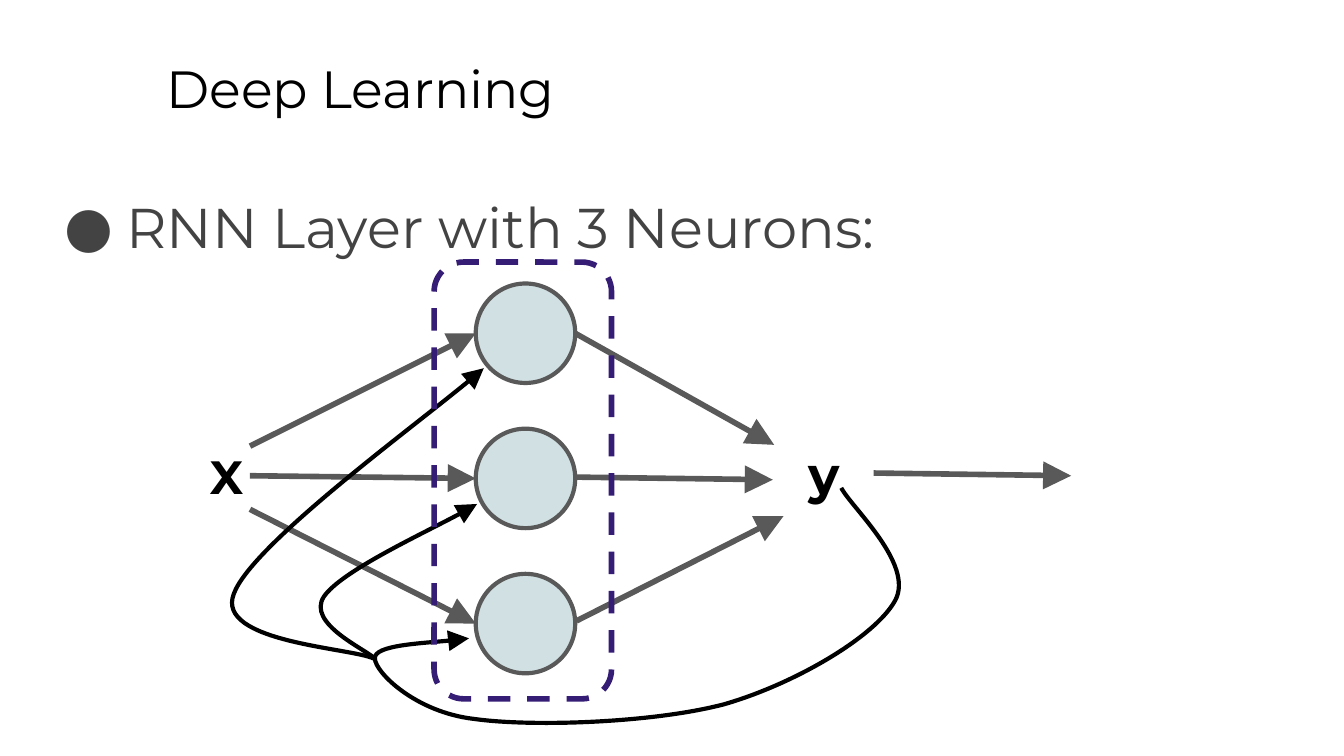
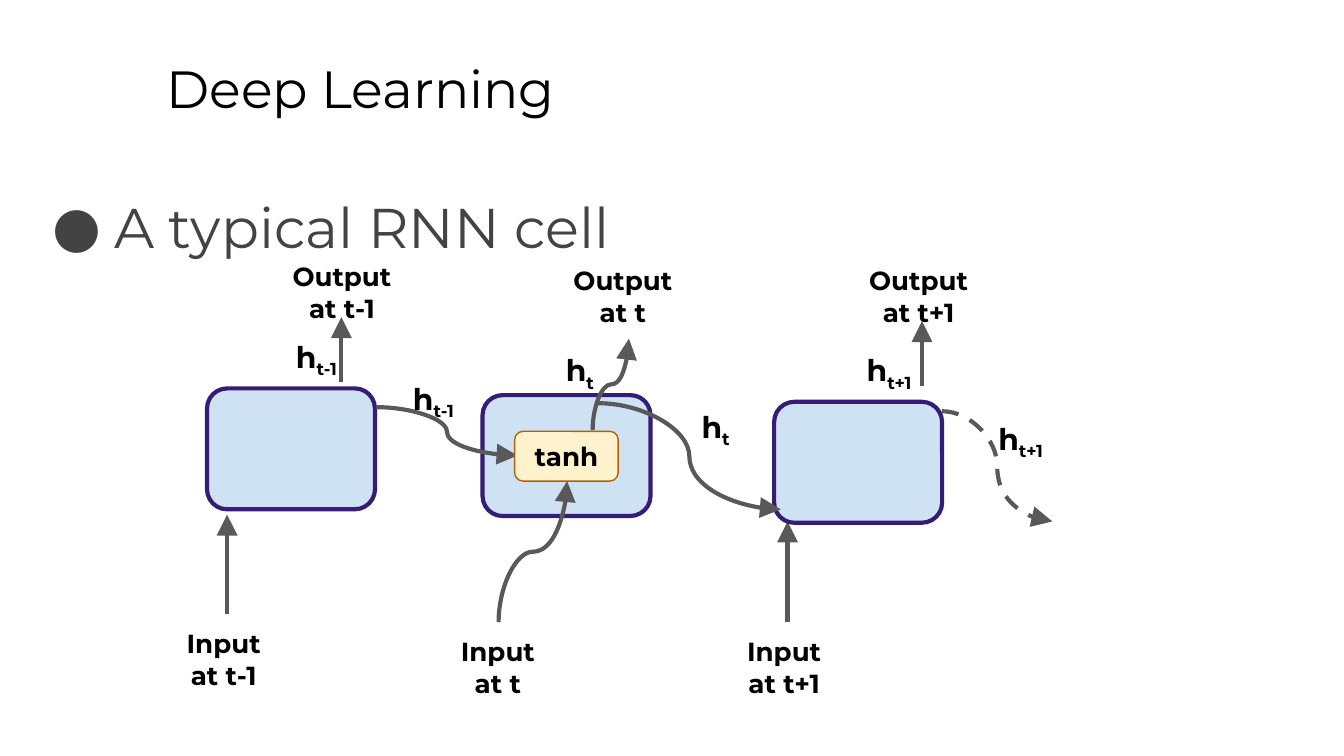
from dataclasses import dataclass
from typing import Optional

from lxml.etree import SubElement
from pptx import Presentation
from pptx.dml.color import RGBColor
from pptx.enum.dml import MSO_LINE
from pptx.enum.shapes import MSO_CONNECTOR as Link, MSO_SHAPE as Preset
from pptx.enum.text import MSO_ANCHOR as Anchor, PP_ALIGN as Align
from pptx.oxml.ns import qn
from pptx.util import Emu, Pt

EMU_PER_PX = 9144
FONT = "Montserrat"
BLACK, BODY_GREY, ARROW_GREY = "000000", "434343", "595959"
PURPLE, NEURON_BLUE, CELL_BLUE = "351C75", "D0E0E3", "CFE2F3"
TANH_YELLOW, TANH_BROWN = "FFF2CC", "B45F06"

Point = tuple[int, int]


@dataclass(frozen=True)
class Stroke:
    color: str
    width: float
    dashed: bool = False


@dataclass(frozen=True)
class Words:
    text: str
    size: int
    color: str = BLACK
    bold: bool = True
    subscript: bool = False


@dataclass(frozen=True)
class Box:
    x: int
    y: int
    w: int
    h: int


@dataclass(frozen=True)
class Arrow:
    start: Point
    end: Point
    stroke: Stroke
    curved: bool = False
    upright: bool = False


THICK = Stroke(ARROW_GREY, 3)
MEDIUM = Stroke(ARROW_GREY, 2.25)
FEEDBACK = Stroke(BLACK, 2.25)


def px(length: float) -> Emu:
    return Emu(round(length * EMU_PER_PX))


def rgb(color: str) -> RGBColor:
    return RGBColor.from_string(color)


def draw_stroke(line, stroke: Stroke) -> None:
    line.color.rgb = rgb(stroke.color)
    line.width = Pt(stroke.width)
    if stroke.dashed:
        line.dash_style = MSO_LINE.DASH


def add_arrowhead(properties, size: str) -> None:
    SubElement(properties.find(qn("a:ln")), qn("a:tailEnd"),
               type="triangle", w=size, len=size)


def write(paragraph, runs: list[Words]) -> None:
    for words in runs:
        run = paragraph.add_run()
        run.text = words.text
        font = run.font
        font.name, font.size, font.bold = FONT, Pt(words.size), words.bold
        font.color.rgb = rgb(words.color)
        if words.subscript:
            font._element.set("baseline", "-25000")


def fill_frame(frame, paragraphs: list[list[Words]], align: Align) -> None:
    frame.word_wrap = True
    frame.margin_left = frame.margin_right = px(10)
    frame.margin_top = frame.margin_bottom = px(10)
    for index, runs in enumerate(paragraphs):
        paragraph = frame.add_paragraph() if index else frame.paragraphs[0]
        paragraph.alignment = align
        write(paragraph, runs)


def add_text(slide, box: Box, paragraphs: list[list[Words]], align: Align = Align.CENTER):
    frame = slide.shapes.add_textbox(px(box.x), px(box.y), px(box.w), px(box.h)).text_frame
    fill_frame(frame, paragraphs, align)
    return frame


def add_label(slide, place: Point, *paragraphs: list[Words], height: int = 37) -> None:
    add_text(slide, Box(*place, 97, height), list(paragraphs))


def add_state(slide, place: Point, step: str) -> None:
    add_label(slide, place, [Words("h", 16), Words(step, 16, subscript=True)])


def add_outline(slide, preset: Preset, box: Box, stroke: Stroke, fill: Optional[str] = None):
    shape = slide.shapes.add_shape(preset, px(box.x), px(box.y), px(box.w), px(box.h))
    shape.shadow.inherit = False
    if fill:
        shape.fill.solid()
        shape.fill.fore_color.rgb = rgb(fill)
    else:
        shape.fill.background()
    draw_stroke(shape.line, stroke)
    return shape


def add_arrow(slide, arrow: Arrow) -> None:
    (x1, y1), (x2, y2) = arrow.start, arrow.end
    if arrow.upright:
        mid_x, mid_y = (x1 + x2) / 2, (y1 + y2) / 2
        half_w, half_h = (y1 - y2) / 2, (x2 - x1) / 2
        x1, x2 = mid_x - half_w, mid_x + half_w
        y1, y2 = mid_y - half_h, mid_y + half_h
    kind = Link.CURVE if arrow.curved else Link.STRAIGHT
    link = slide.shapes.add_connector(kind, px(x1), px(y1), px(x2), px(y2))
    draw_stroke(link.line, arrow.stroke)
    properties = link._element.spPr
    if arrow.upright:
        properties.find(qn("a:xfrm")).set("rot", str(270 * 60000))
    add_arrowhead(properties, "lg")
    SubElement(properties, qn("a:effectLst"))


def add_feedback(slide, start: Point, bends: list[Point]) -> None:
    builder = slide.shapes.build_freeform(*start, scale=EMU_PER_PX)
    builder.add_line_segments(bends, close=False)
    loop = builder.convert_to_shape()
    loop.shadow.inherit = False
    loop.fill.background()
    draw_stroke(loop.line, FEEDBACK)
    properties = loop._element.spPr
    outline = next(properties.iter(qn("a:path")))
    segments = outline.findall(qn("a:lnTo"))
    for first in range(0, len(segments), 3):
        curve = SubElement(outline, qn("a:cubicBezTo"))
        for segment in segments[first:first + 3]:
            curve.append(segment[0])
            outline.remove(segment)
    add_arrowhead(properties, "lg")


def add_slide(deck, topic: str, body: Box):
    slide = deck.slides.add_slide(deck.slide_layouts[6])
    add_text(slide, Box(114, 32, 852, 63),
             [[Words("Deep Learning", 28, bold=False)]], Align.LEFT)
    frame = add_text(slide, body, [[Words(topic, 30, BODY_GREY, bold=False)]], Align.LEFT)
    bullet = frame.paragraphs[0]
    bullet.line_spacing = 1.15
    bullet.space_after = Pt(16)
    settings = bullet._p.get_or_add_pPr()
    settings.set("marL", str(px(50)))
    settings.set("indent", str(px(-46)))
    SubElement(SubElement(settings, qn("a:buClr")), qn("a:srgbClr"), val=BODY_GREY)
    SubElement(settings, qn("a:buFont"), typeface=FONT)
    SubElement(settings, qn("a:buChar"), char="●")
    return slide


def build_layer(deck) -> None:
    slide = add_slide(deck, "RNN Layer with 3 Neurons:", Box(34, 126, 952, 85))
    for row in range(3):
        add_outline(slide, Preset.OVAL, Box(354, 211 + 108 * row, 74, 74),
                    MEDIUM, NEURON_BLUE)
    for start, end in [
        ((186, 332), (354, 248)), ((186, 354), (354, 356)), ((186, 379), (354, 464)),
        ((428, 248), (576, 331)), ((428, 355), (575, 357)), ((429, 462), (583, 384)),
        ((650, 352), (797, 354)),
    ]:
        add_arrow(slide, Arrow(start, end, THICK))
    add_label(slide, (120, 323), [Words("X", 25)], height=44)
    add_label(slide, (565, 319), [Words("y", 28)], height=44)
    add_feedback(slide, (626, 363), [
        (633, 377), (681, 420), (666, 447), (651, 474), (591, 509), (539, 524),
        (486, 538), (396, 541), (353, 535), (309, 530), (279, 500), (279, 490),
        (278, 480), (338, 477), (349, 475),
    ])
    add_feedback(slide, (279, 490), [
        (272, 483), (228, 464), (241, 444), (254, 425), (336, 387), (355, 375),
    ])
    add_feedback(slide, (278, 490), [
        (261, 482), (160, 478), (174, 442), (187, 406), (329, 302), (360, 274),
    ])
    add_outline(slide, Preset.ROUNDED_RECTANGLE, Box(323, 195, 132, 325),
                Stroke(PURPLE, 3, dashed=True))


def build_cell(deck) -> None:
    slide = add_slide(deck, "A typical RNN cell", Box(25, 126, 975, 374))
    for start, end in [
        ((254, 284), (254, 236)), ((169, 457), (169, 383)),
        ((686, 287), (686, 239)), ((586, 463), (586, 388)),
    ]:
        add_arrow(slide, Arrow(start, end, MEDIUM))

    add_label(slide, (118, 457), [Words("Input", 14)], [Words("at t-1", 14)])
    for place, caption in [
        ((206, 184), "Output at t-1"), ((322, 463), "Input at t"),
        ((535, 463), "Input at t+1"), ((415, 187), "Output at t"),
        ((635, 187), "Output at t+1"),
    ]:
        add_label(slide, place, [Words(caption, 14)])

    next_state = Stroke(ARROW_GREY, 2.25, dashed=True)
    add_arrow(slide, Arrow((701, 306), (783, 388), next_state, curved=True))
    for step, left in enumerate((154, 359, 576)):
        add_outline(slide, Preset.ROUNDED_RECTANGLE, Box(left, 289 + 5 * step, 125, 90),
                    Stroke(PURPLE, 2.25), CELL_BLUE)
    for start, end, upright in [
        ((280, 303), (385, 339), False), ((371, 463), (422, 358), True),
        ((441, 320), (468, 252), True), ((445, 300), (581, 379), False),
    ]:
        add_arrow(slide, Arrow(start, end, MEDIUM, curved=True, upright=upright))

    tanh = add_outline(slide, Preset.ROUNDED_RECTANGLE, Box(383, 321, 77, 37),
                       Stroke(TANH_BROWN, 0.75), TANH_YELLOW)
    fill_frame(tanh.text_frame, [[Words("tanh", 14)]], Align.CENTER)
    tanh.text_frame.vertical_anchor = Anchor.MIDDLE

    for place, step in [
        ((274, 273), "t-1"), ((484, 294), "t"), ((711, 303), "t+1"),
        ((187, 242), "t-1"), ((383, 252), "t"), ((613, 252), "t+1"),
    ]:
        add_state(slide, place, step)


def main() -> None:
    deck = Presentation()
    deck.slide_width = px(1000)
    deck.slide_height = Emu(deck.slide_width * 9 // 16)
    build_layer(deck)
    build_cell(deck)
    deck.save("out.pptx")


if __name__ == "__main__":
    main()
